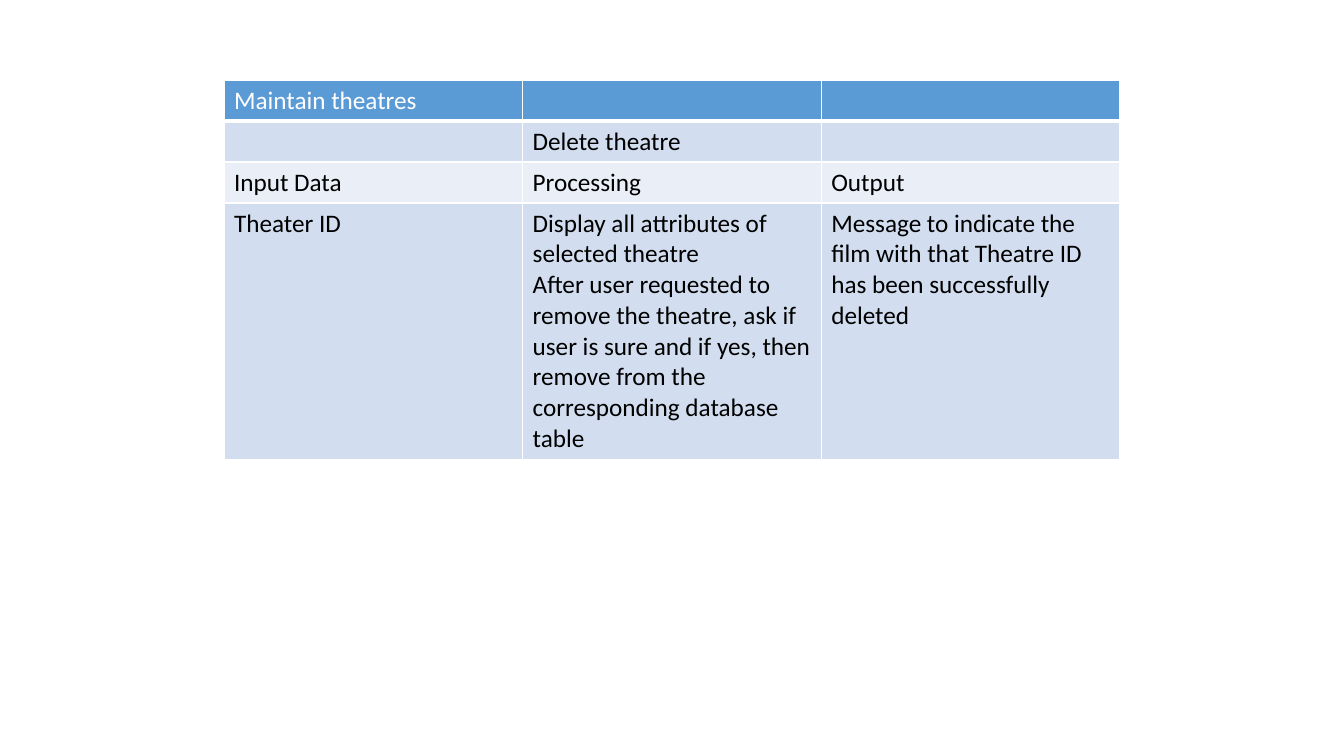
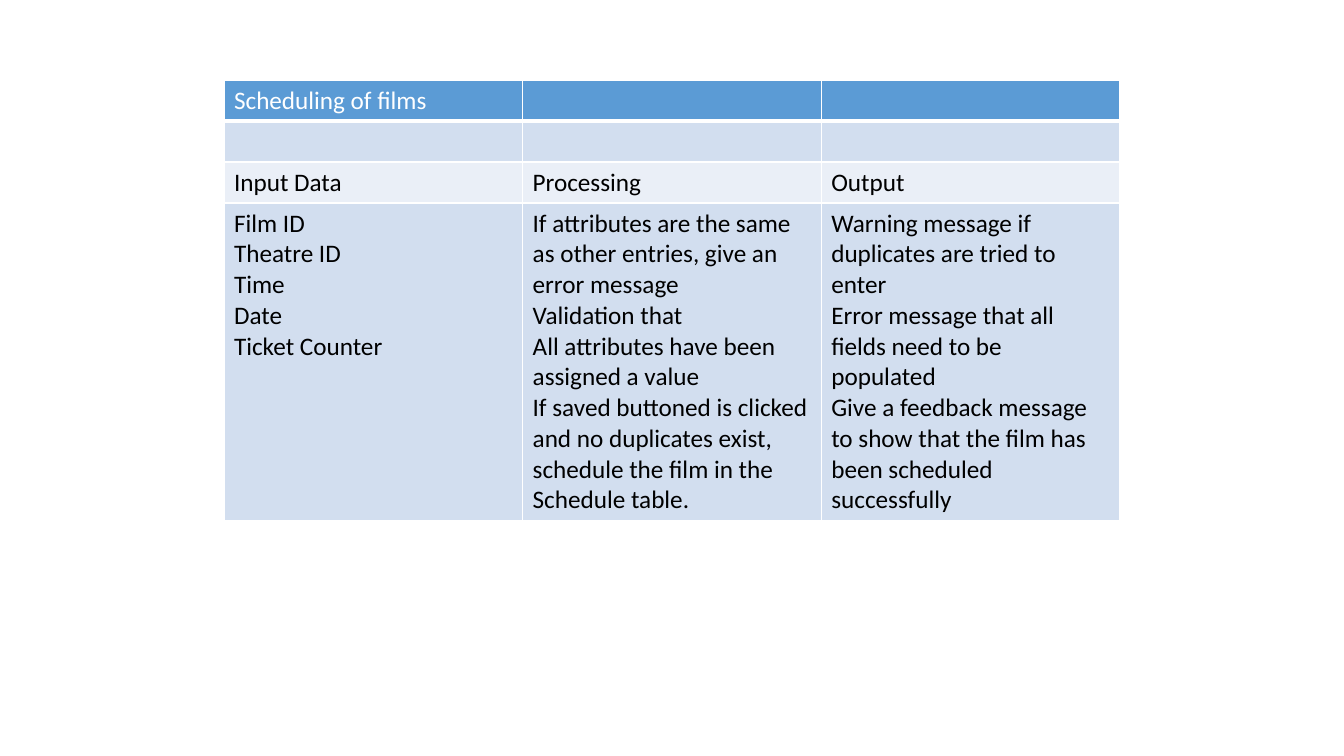
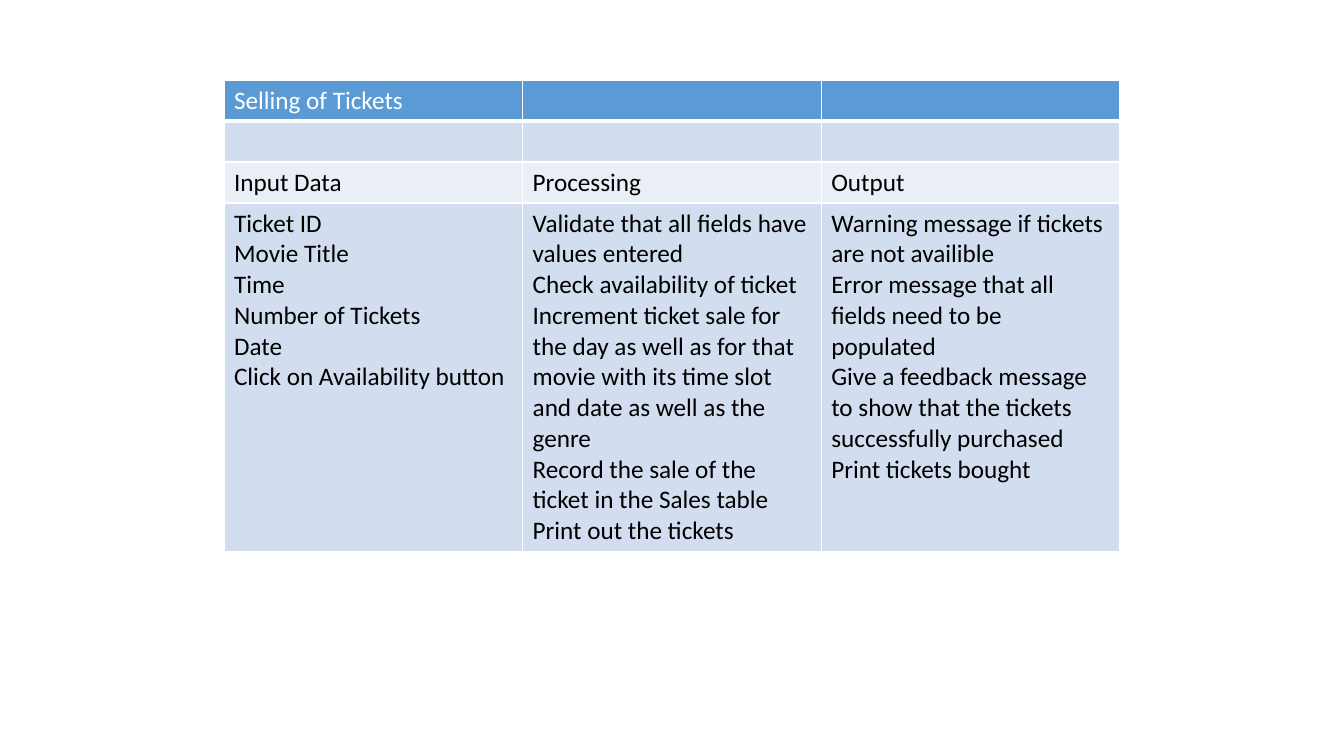
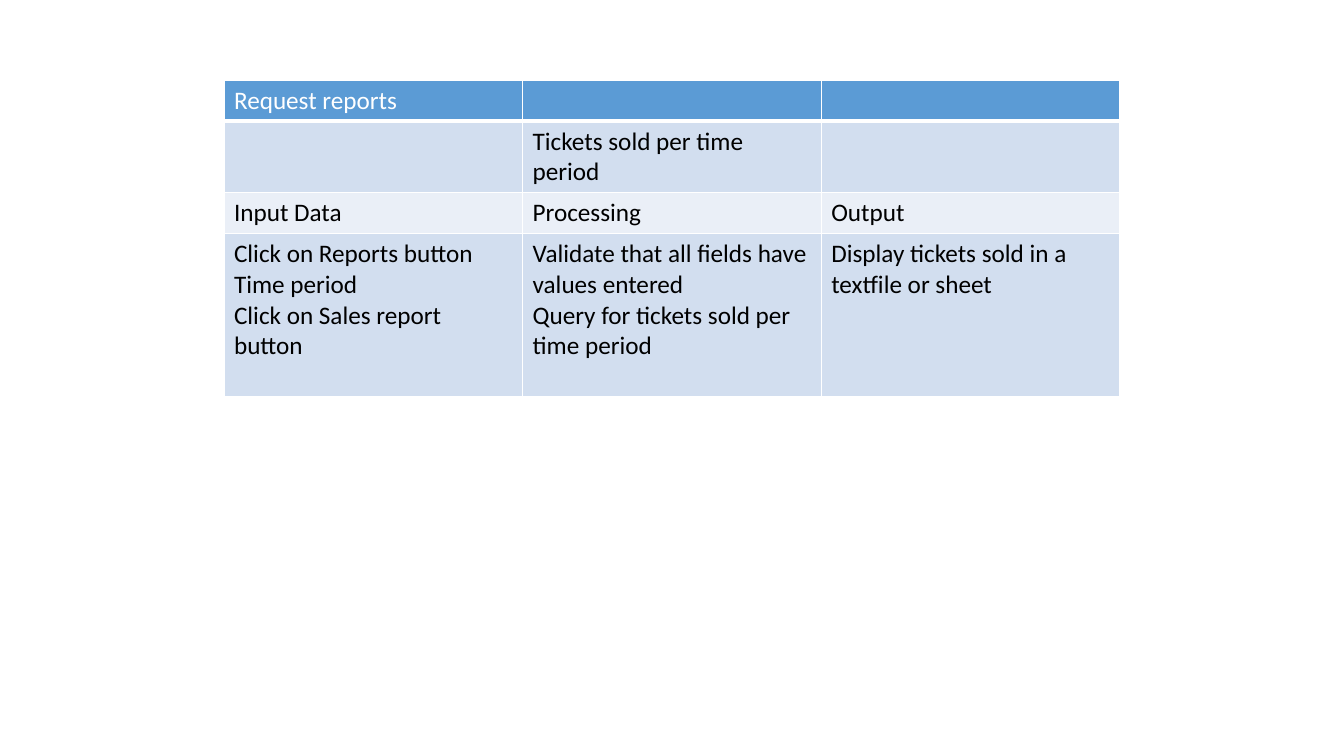
from lxml import etree
from pptx import Presentation, util as u
from pptx.dml.color import RGBColor
from pptx.oxml import ns

SCALE = 914400 / 100.8
SLIDE_WIDTH, SLIDE_HEIGHT = 1344, 756
TABLE_LEFT, TABLE_TOP, TABLE_WIDTH = 224, 80, 896
ROW_HEIGHT = 41
FONT, FONT_SIZE = "Calibri", 18
WHITE, BLACK = "FFFFFF", "000000"
HEADER, DARK_BAND, LIGHT_BAND = "5B9BD5", "D2DEEF", "EAEFF7"
ROW_FILLS = [HEADER, DARK_BAND, LIGHT_BAND, DARK_BAND]
COLUMN_TITLES = ["Input Data", "Processing", "Output"]

FUNCTIONS = [
    {
        "title": "Maintain theatres",
        "action": "Delete theatre",
        "heights": [41, 256],
        "details": [
            ["Theater ID"],
            ["Display all attributes of selected theatre",
             "After user requested to remove the theatre, ask if user is sure "
             "and if yes, then remove from the corresponding database table"],
            ["Message to indicate the film with that Theatre ID has been "
             "successfully deleted"],
        ],
    },
    {
        "title": "Scheduling of films",
        "action": "",
        "heights": [41, 317],
        "details": [
            ["Film ID", "Theatre ID", "Time", "Date", "Ticket Counter"],
            ["If attributes are the same as other entries, give an error message",
             "Validation that",
             "All attributes have been assigned a value",
             "If saved buttoned is clicked and no duplicates exist, schedule "
             "the film in the Schedule table."],
            ["Warning message if duplicates are tried to enter",
             "Error message that all fields need to be populated",
             "Give a feedback message to show that the film has been "
             "scheduled successfully"],
        ],
    },
    {
        "title": "Selling of Tickets",
        "action": "",
        "heights": [41, 348],
        "details": [
            ["Ticket ID", "Movie Title", "Time", "Number of Tickets", "Date",
             "Click on Availability button"],
            ["Validate that all fields have values entered",
             "Check availability of ticket",
             "Increment ticket sale for the day as well as for that movie "
             "with its time slot and date as well as the genre",
             "Record the sale of the ticket in the Sales table",
             "Print out the tickets"],
            ["Warning message if tickets are not availible",
             "Error message that all fields need to be populated",
             "Give a feedback message to show that the tickets successfully "
             "purchased",
             "Print tickets bought"],
        ],
    },
    {
        "title": "Request reports",
        "action": "Tickets sold per time period",
        "heights": [71, 163],
        "details": [
            ["Click on Reports button", "Time period",
             "Click on Sales report button"],
            ["Validate that all fields have values entered",
             "Query for tickets sold per time period"],
            ["Display tickets sold in a textfile or sheet"],
        ],
    },
]


def px(length):
    return u.Emu(round(length * SCALE))


def color(value):
    return RGBColor.from_string(value)


def set_borders(cell, bottom_width):
    properties = cell._tc.get_or_add_tcPr()
    widths = {"a:lnL": 1, "a:lnR": 1, "a:lnT": 1, "a:lnB": bottom_width}
    for side, width in widths.items():
        line = etree.SubElement(properties, ns.qn(side), w=str(u.Pt(width)))
        fill = etree.SubElement(line, ns.qn("a:solidFill"))
        etree.SubElement(fill, ns.qn("a:srgbClr"), val=WHITE)


def fill_cell(cell, content, fill, is_header):
    set_borders(cell, 3 if is_header else 1)
    cell.fill.solid()
    cell.fill.fore_color.rgb = color(fill)
    cell.text_frame.text = content
    for para in cell.text_frame.paragraphs:
        para.font.size = u.Pt(FONT_SIZE)
        for span in para.runs:
            span.font.name = FONT
            span.font.size = u.Pt(FONT_SIZE)
            span.font.bold = False
            span.font.color.rgb = color(WHITE if is_header else BLACK)


def add_function_table(page, function):
    action_height, detail_height = function["heights"]
    heights = [ROW_HEIGHT, action_height, ROW_HEIGHT, detail_height]
    rows = [
        [function["title"], "", ""],
        ["", function["action"], ""],
        COLUMN_TITLES,
        ["\n".join(lines) for lines in function["details"]],
    ]
    table = page.shapes.add_table(
        len(rows), len(COLUMN_TITLES), px(TABLE_LEFT), px(TABLE_TOP),
        px(TABLE_WIDTH), px(sum(heights))).table
    for row_index, contents in enumerate(rows):
        table.rows[row_index].height = px(heights[row_index])
        for column_index, content in enumerate(contents):
            fill_cell(table.cell(row_index, column_index), content,
                      ROW_FILLS[row_index], row_index == 0)


def main():
    deck = Presentation()
    deck.slide_width = px(SLIDE_WIDTH)
    deck.slide_height = px(SLIDE_HEIGHT)
    for function in FUNCTIONS:
        page = deck.slides.add_slide(deck.slide_layouts[6])
        add_function_table(page, function)
    deck.save("out.pptx")


main()
